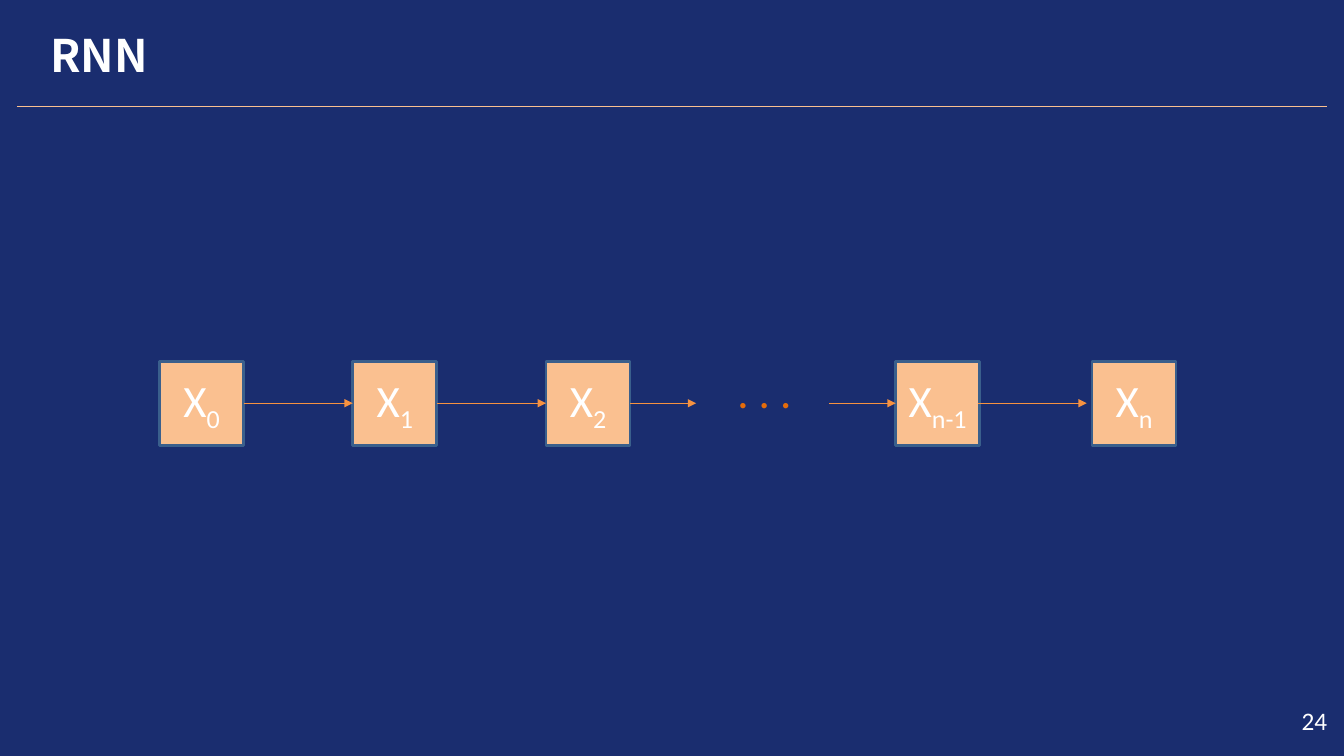
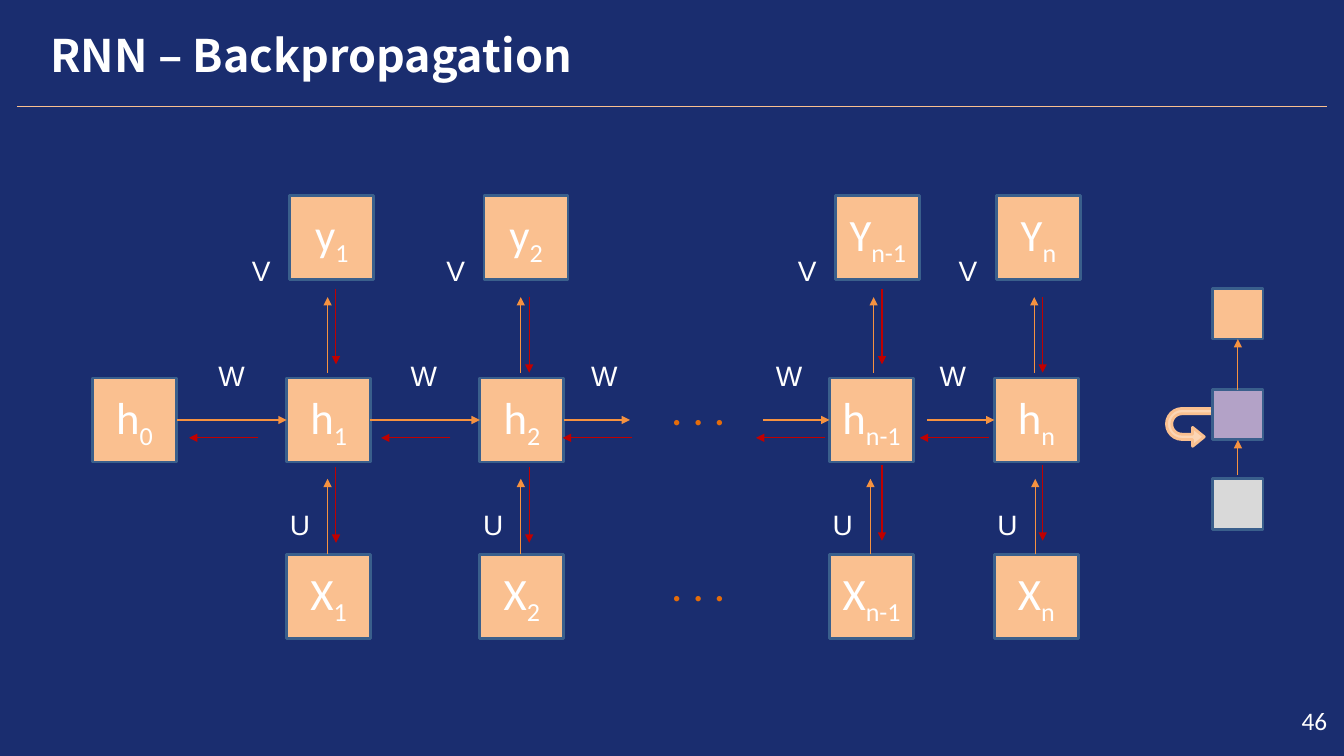
import pptx
import pptx.dml.color
import pptx.enum.shapes
import pptx.enum.text
import pptx.oxml.ns
import pptx.oxml.xmlchemy
import pptx.util

PX = 9525  # EMU: 96 px to the inch
COLORS = {
    "background": "1A2D6F", "text": "FFFFFF", "box": "FAC090",
    "outline": "3A5F8C", "forward": "F69240", "backward": "C00000",
    "dots": "E46C0A", "hidden": "B3A2C7", "input": "D9D9D9", "loop": "FCD5B5",
}
BODY, TITLE, LABEL = "Calibri", "Noto Sans CJK KR", "Arial"
SHAPE = pptx.enum.shapes.MSO_SHAPE
ALIGN = pptx.enum.text.PP_ALIGN
ANCHOR = pptx.enum.text.MSO_ANCHOR
BOX, SMALL = 80, 48


def color(name):
    return pptx.dml.color.RGBColor.from_string(COLORS[name])


def write(frame, text, sub="", size=32, font=BODY, ink="text", bold=False,
          align=ALIGN.CENTER, anchor=ANCHOR.MIDDLE, inset_top=0):
    """Fill a text frame with text and an optional subscript."""
    frame.word_wrap = True
    frame.vertical_anchor = anchor
    frame.margin_left = frame.margin_right = frame.margin_bottom = 0
    frame.margin_top = inset_top * PX
    paragraph = frame.paragraphs[0]
    paragraph.alignment = align
    for part in filter(None, (text, sub)):
        run = paragraph.add_run()
        run.text = part
        run.font.size = pptx.util.Pt(size)
        run.font.name = font
        run.font.bold = bold
        run.font.color.rgb = color(ink)
    if sub:
        run.font._element.set("baseline", "-25000")


class Deck:
    def __init__(self):
        self.presentation = pptx.Presentation()
        self.presentation.slide_width = 1280 * PX
        self.presentation.slide_height = 720 * PX
        self.slide = None

    def new_slide(self, title, number):
        self.slide = self.presentation.slides.add_slide(
            self.presentation.slide_layouts[6])
        backdrop = self.slide.background.fill
        backdrop.solid()
        backdrop.fore_color.rgb = color("background")
        self.line(16, 101, 1264, 101, ink="box", arrow=False)
        self.text(1232, 672, 32, 29, str(number), size=18,
                  align=ALIGN.RIGHT, anchor=ANCHOR.TOP)
        self.text(48, 25, 872, 53, title, font=TITLE, bold=True,
                  align=ALIGN.LEFT, anchor=ANCHOR.TOP, inset_top=1)

    def text(self, x, y, width, height, text, **style):
        area = self.slide.shapes.add_textbox(x * PX, y * PX, width * PX, height * PX)
        write(area.text_frame, text, **style)

    def label(self, x, y, text):
        self.text(x, y, 32, 34, text, size=20, font=LABEL,
                  align=ALIGN.LEFT, anchor=ANCHOR.TOP, inset_top=2)

    def dots(self, x, y):
        self.text(x, y, 112, 88, ". . .", ink="dots")

    def shape(self, kind, x, y, width, height, fill="box", outline="outline"):
        shape = self.slide.shapes.add_shape(
            kind, x * PX, y * PX, width * PX, height * PX)
        shape.shadow.inherit = False
        shape.fill.solid()
        shape.fill.fore_color.rgb = color(fill)
        shape.line.color.rgb = color(outline)
        shape.line.width = pptx.util.Pt(2)
        return shape

    def node(self, x, y, letter, sub):
        box = self.shape(SHAPE.RECTANGLE, x, y, BOX, BOX)
        write(box.text_frame, letter, sub=sub)

    def line(self, x1, y1, x2, y2, ink="forward", arrow=True):
        line = self.slide.shapes.add_connector(
            pptx.enum.shapes.MSO_CONNECTOR.STRAIGHT,
            x1 * PX, y1 * PX, x2 * PX, y2 * PX)
        line.line.color.rgb = color(ink)
        line.line.width = pptx.util.Pt(0.75)
        if arrow:
            head = pptx.oxml.xmlchemy.OxmlElement("a:tailEnd")
            head.set("type", "triangle")
            line.line._ln.append(head)
        line._element.spPr.append(pptx.oxml.xmlchemy.OxmlElement("a:effectLst"))

    def loop_arrow(self, x, y, width, height):
        loop = self.shape(SHAPE.U_TURN_ARROW, x, y, width, height,
                          fill="loop", outline="box")
        for index, value in enumerate((0.14, 0.25, 0.31, 0.43, 0.75)):
            loop.adjustments[index] = value
        loop.rotation = 90
        loop._element.spPr.find(pptx.oxml.ns.qn("a:xfrm")).set("flipV", "1")


def build_chain(deck):
    deck.new_slide("RNN", 24)
    top = 344
    for x, sub in ((152, "0"), (336, "1"), (520, "2"), (853, "n-1"), (1040, "n")):
        deck.node(x, top, "X", sub)
    middle = top + BOX // 2
    for start, end in ((232, 336), (416, 520), (600, 663), (790, 853), (931, 1035)):
        deck.line(start, middle, end, middle)
    deck.dots(672, 328)


def build_backpropagation(deck):
    deck.new_slide("RNN – Backpropagation", 46)
    output_top, state_top, input_top = 186, 360, 528
    arrow_length = 72

    deck.node(88, state_top, "h", "0")
    # state x, output x, output letter, subscript, V arrow x,
    # backward x, backward top at V, backward top at U
    steps = (
        (273, 276, "y", "1", 312, 320, 275, 445),
        (457, 461, "y", "2", 496, 504, 283, 445),
        (790, 796, "Y", "n-1", 832, 840, 275, 443),
        (947, 949, "Y", "n", 985, 993, 283, 443),
    )
    for x, output_x, letter, sub, v_x, back_x, *back_tops in steps:
        deck.node(output_x, output_top, letter, sub)
        deck.node(x, state_top, "h", sub)
        deck.node(x, input_top, "X", sub)
        deck.label(output_x - 36, 239, "V")
        deck.label(x + 3, 481, "U")
        deck.line(v_x, 355, v_x, 355 - arrow_length)
        deck.line(x + 39, input_top, x + 39, input_top - arrow_length)
        for back_top in back_tops:
            deck.line(back_x, back_top, back_x, back_top + arrow_length, ink="backward")

    # W label x, forward start, forward end, backward start
    middle = state_top + BOX // 2
    for label_x, start, end, back_start in (
            (208, 169, 273, 246), (391, 352, 457, 429), (563, 537, 600, 602),
            (739, 727, 790, 786), (895, 883, 947, 942)):
        deck.label(label_x, 339, "W")
        deck.line(start, middle, end, middle)
        deck.line(back_start, middle + 17, back_start - 66, middle + 17, ink="backward")
    for y in (344, 512):
        deck.dots(609, y)

    deck.loop_arrow(1117, 383, 36, 48)
    folded_x = 1155
    for y, fill in ((275, "box"), (371, "hidden"), (456, "input")):
        deck.shape(SHAPE.RECTANGLE, folded_x, y, SMALL, SMALL, fill=fill)
    center = folded_x + SMALL // 2
    for start, end in ((371, 323), (452, 419)):
        deck.line(center, start, center, end)


def main():
    deck = Deck()
    build_chain(deck)
    build_backpropagation(deck)
    deck.presentation.save("out.pptx")


if __name__ == "__main__":
    main()
